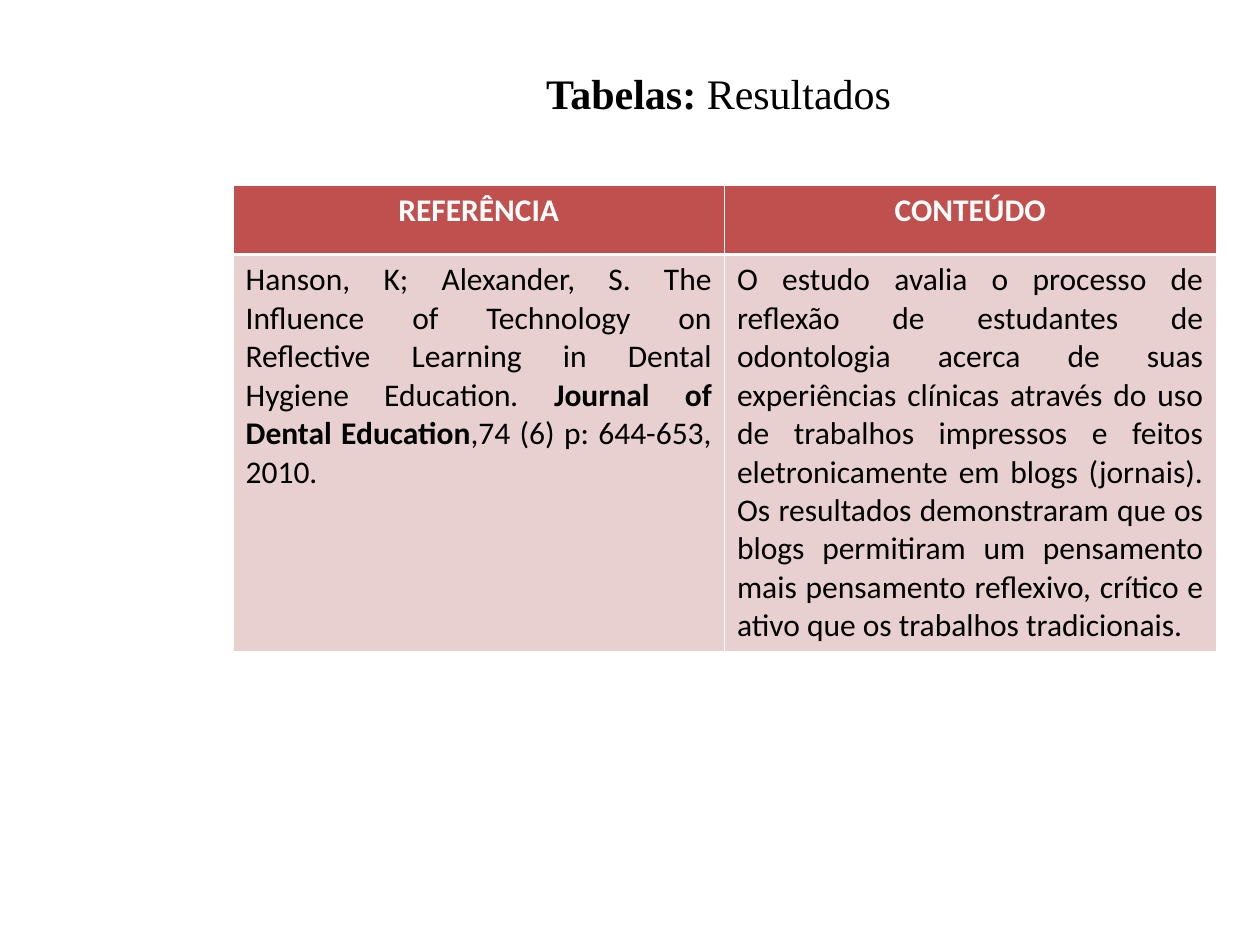
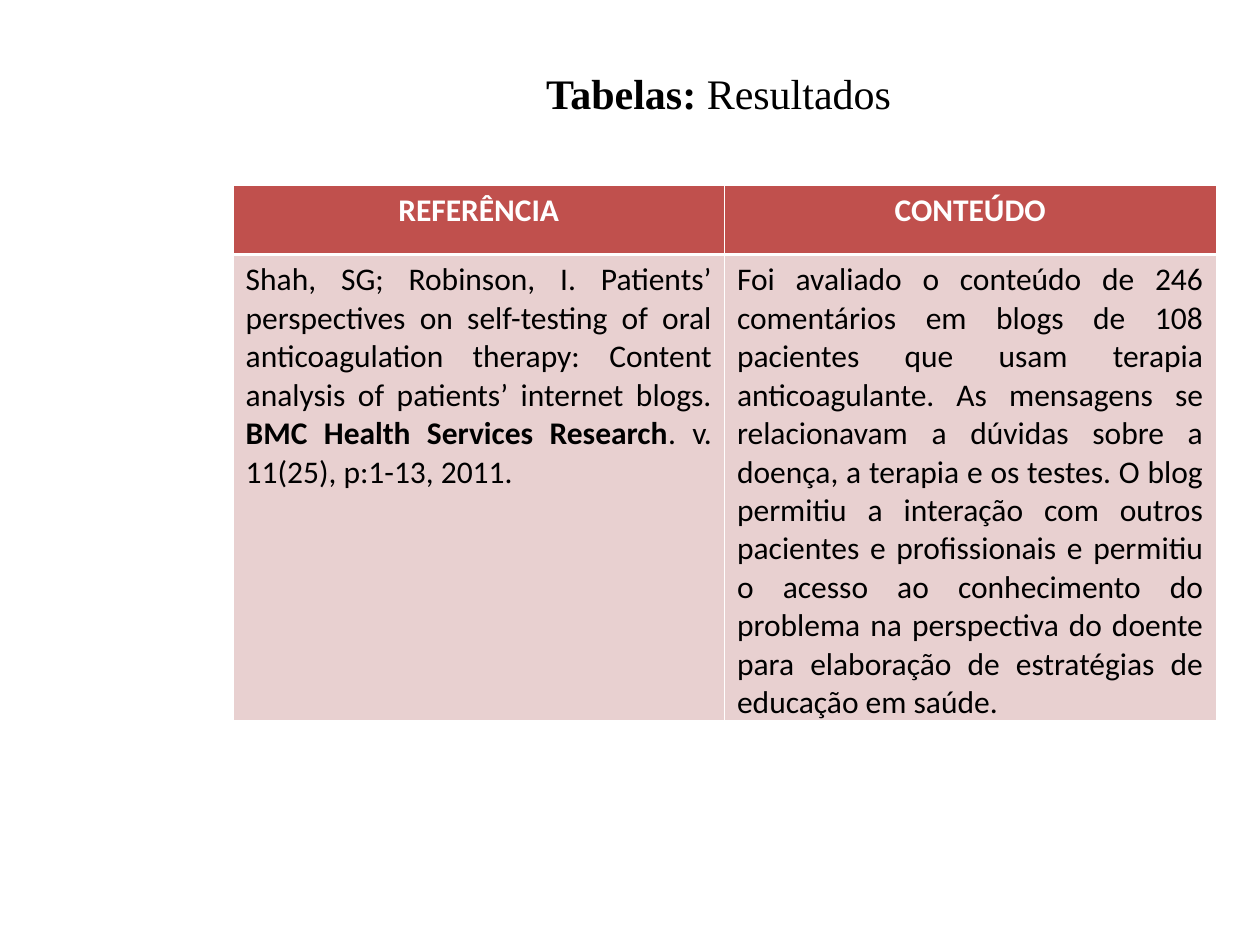
"""Builds two slides that each show one literature result in a two-column table."""
from dataclasses import dataclass
from typing import NamedTuple

from lxml.etree import SubElement
from pptx import Presentation
from pptx.dml.color import RGBColor
from pptx.enum.text import MSO_AUTO_SIZE, PP_ALIGN
from pptx.oxml.ns import qn
from pptx.util import Inches, Pt

COLORS = {"header": "C0504D", "body": "E8D0D0", "border": "FFFFFF",
          "header_text": "FFFFFF", "text": "000000"}
SLIDE_WIDTH, SLIDE_HEIGHT = Inches(10), Inches(7.5)
TITLE_FONT, TABLE_FONT = "Times New Roman", "Calibri"
THIN_LINE, HEADER_LINE = Pt(0.45), Pt(1.47)
COLUMN_WIDTH = Inches(3.9)
HEADER_HEIGHT = Inches(0.55)
TABLE_LEFT, TABLE_TOP = Inches(1.85), Inches(1.47)


class Span(NamedTuple):
    text: str
    bold: bool = False
    italic: bool = False


@dataclass(frozen=True)
class CellStyle:
    fill: str
    color: str
    alignment: PP_ALIGN
    line_above: int
    line_below: int


@dataclass(frozen=True)
class Result:
    reference: list[Span]
    content: list[Span]
    body_height: float


HEADER_STYLE = CellStyle("header", "header_text", PP_ALIGN.CENTER, THIN_LINE, HEADER_LINE)
BODY_STYLE = CellStyle("body", "text", PP_ALIGN.JUSTIFY, HEADER_LINE, THIN_LINE)
TITLE = [Span("Tabelas:", bold=True), Span(" Resultados ")]
HEADINGS = [[Span("REFERÊNCIA", bold=True)], [Span("CONTEÚDO", bold=True)]]

RESULTS = [
    Result(
        [Span("Hanson, K; Alexander, S. The Influence of Technology on Reflective "
              "Learning in Dental Hygiene Education"),
         Span(". ", italic=True),
         Span("Journal of Dental Education", bold=True),
         Span(",74 (6) p: 644-653, 2010.")],
        [Span("O estudo avalia o processo de reflexão de estudantes de odontologia "
              "acerca de suas experiências clínicas através do uso de trabalhos "
              "impressos e feitos eletronicamente em blogs (jornais). Os resultados "
              "demonstraram que os blogs permitiram um pensamento mais pensamento "
              "reflexivo, crítico e ativo que os trabalhos tradicionais.")],
        body_height=3.1,
    ),
    Result(
        [Span("Shah, SG; Robinson, I. Patients’ perspectives on self-testing of oral "
              "anticoagulation therapy: Content analysis of patients’ internet blogs. "),
         Span("BMC Health Services Research", bold=True),
         Span(". v. 11(25), p:1-13, 2011.")],
        [Span("Foi avaliado o conteúdo de 246 comentários em blogs de 108 pacientes "
              "que usam terapia anticoagulante. As mensagens se relacionavam a dúvidas "
              "sobre a doença, a terapia e os testes. O blog permitiu a interação com "
              "outros pacientes e profissionais e permitiu o acesso ao conhecimento do "
              "problema na perspectiva do doente para elaboração de estratégias de "
              "educação em saúde.")],
        body_height=3.7,
    ),
]


def write_paragraph(paragraph, spans: list[Span], font_name: str, size: int,
                    color: str, alignment: PP_ALIGN) -> None:
    paragraph.alignment = alignment
    paragraph.font.name = font_name
    paragraph.font.size = Pt(size)
    paragraph.font.color.rgb = RGBColor.from_string(COLORS[color])
    for span in spans:
        run = paragraph.add_run()
        run.text = span.text
        run.font.bold = span.bold
        run.font.italic = span.italic


def add_borders(cell, style: CellStyle) -> None:
    properties = cell._tc.get_or_add_tcPr()
    widths = {"a:lnL": THIN_LINE, "a:lnR": THIN_LINE,
              "a:lnT": style.line_above, "a:lnB": style.line_below}
    for side, width in widths.items():
        line = SubElement(properties, qn(side), w=str(int(width)))
        fill = SubElement(line, qn("a:solidFill"))
        SubElement(fill, qn("a:srgbClr"), val=COLORS["border"])


def fill_cell(cell, spans: list[Span], style: CellStyle) -> None:
    add_borders(cell, style)
    cell.fill.solid()
    cell.fill.fore_color.rgb = RGBColor.from_string(COLORS[style.fill])
    write_paragraph(cell.text_frame.paragraphs[0], spans, TABLE_FONT, 18,
                    style.color, style.alignment)


def add_title(slide) -> None:
    box = slide.shapes.add_textbox(Inches(1.77), Inches(0.49), Inches(7.95), Inches(0.5))
    box.text_frame.word_wrap = True
    box.text_frame.auto_size = MSO_AUTO_SIZE.SHAPE_TO_FIT_TEXT
    write_paragraph(box.text_frame.paragraphs[0], TITLE, TITLE_FONT, 24,
                    "text", PP_ALIGN.CENTER)


def add_result_table(slide, result: Result) -> None:
    rows = [(HEADER_HEIGHT, HEADER_STYLE, HEADINGS),
            (Inches(result.body_height), BODY_STYLE, [result.reference, result.content])]
    table = slide.shapes.add_table(
        len(rows), len(HEADINGS), TABLE_LEFT, TABLE_TOP,
        COLUMN_WIDTH * len(HEADINGS), sum(height for height, _, _ in rows)).table
    table.first_row = table.horz_banding = False
    for row_index, (height, style, texts) in enumerate(rows):
        table.rows[row_index].height = height
        for column_index, spans in enumerate(texts):
            fill_cell(table.cell(row_index, column_index), spans, style)


def main() -> None:
    presentation = Presentation()
    presentation.slide_width, presentation.slide_height = SLIDE_WIDTH, SLIDE_HEIGHT
    for result in RESULTS:
        slide = presentation.slides.add_slide(presentation.slide_layouts[6])
        add_result_table(slide, result)
        add_title(slide)
    presentation.save("out.pptx")


if __name__ == "__main__":
    main()
